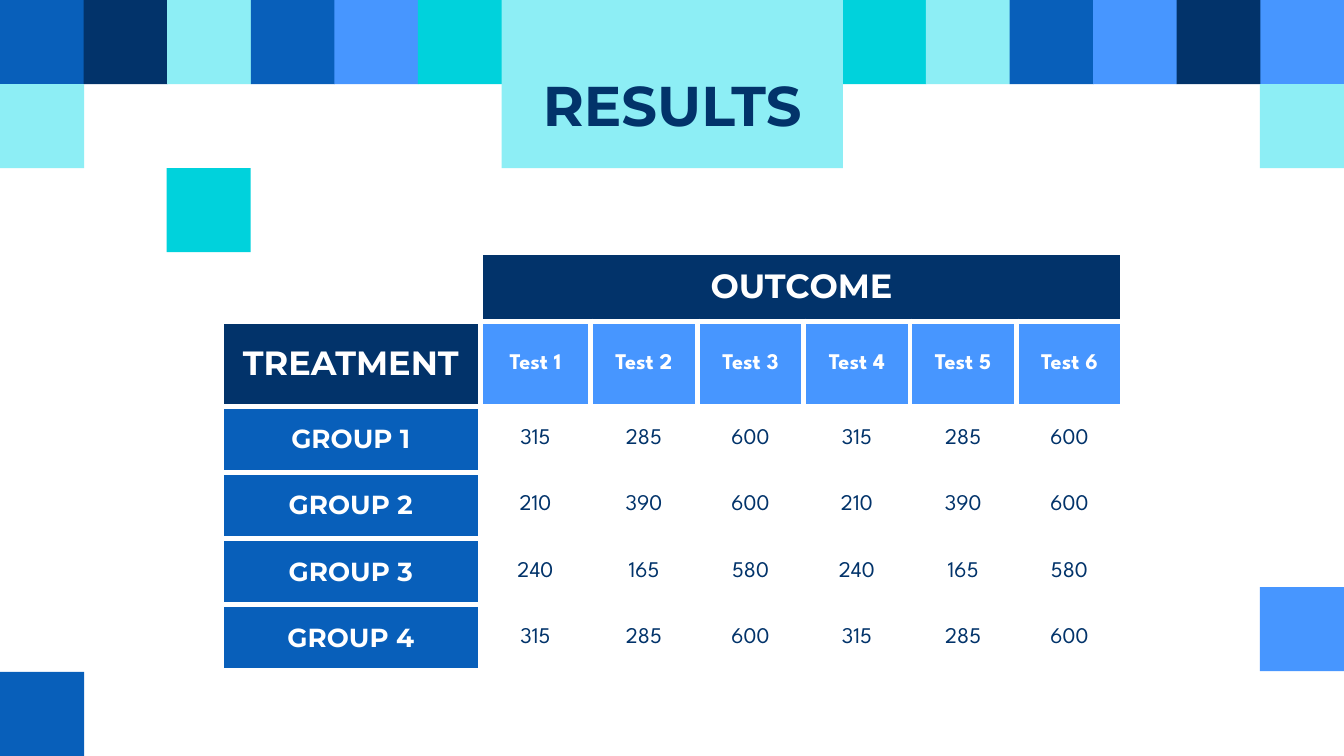
"""Build the results slide: mosaic header, title block and outcome table."""
from dataclasses import dataclass

from lxml.etree import SubElement
from pptx import Presentation
from pptx.dml.color import RGBColor
from pptx.enum.shapes import MSO_SHAPE as Preset
from pptx.enum.text import MSO_ANCHOR as Anchor, PP_ALIGN as Align
from pptx.oxml.ns import qn
from pptx.util import Cm, Pt

COLORS = {
    "navy": "02336A", "blue": "085FBA", "sky": "4796FF",
    "ice": "8DEEF5", "teal": "00D2DC", "white": "FFFFFF",
}
SLIDE_WIDTH, SLIDE_HEIGHT = 25.4, 14.29
TILE, STEP = 1.59, 1.58
RIGHT_EDGE = SLIDE_WIDTH - TILE
RIGHT_START = 15.92
LEFT_ROW = ["blue", "navy", "ice", "blue", "sky", "teal"]
RIGHT_ROW = ["teal", "ice", "blue", "sky", "navy", "sky"]
COLUMNS = [4.9, 2.08, 2.02] + [2.01] * 4
ROWS = [1.3, 1.61] + [1.25] * 4
RESULTS = [(315, 285, 600), (210, 390, 600), (240, 165, 580), (315, 285, 600)]


@dataclass(frozen=True)
class Tile:
    left: float
    top: float
    color: str
    width: float = TILE
    height: float = TILE


@dataclass(frozen=True)
class TextStyle:
    font: str
    size: int
    color: str
    bold: bool = True


@dataclass(frozen=True)
class CellStyle:
    text: TextStyle
    fill: str | None = None


TITLE = TextStyle("Montserrat", 30, "navy")
HEADER = CellStyle(TextStyle("Montserrat", 18, "white"), "navy")
TEST = CellStyle(TextStyle("League Spartan", 12, "white"), "sky")
GROUP = CellStyle(TextStyle("Montserrat", 14, "white"), "blue")
VALUE = CellStyle(TextStyle("League Spartan", 12, "navy", False))


def rgb(name: str) -> RGBColor:
    """Return the named palette colour."""
    return RGBColor.from_string(COLORS[name])


def apply(target, values: dict) -> None:
    """Set every attribute in values on the target."""
    for name, value in values.items():
        setattr(target, name, value)


def write(frame, text: str, style: TextStyle) -> None:
    """Write one centred paragraph in the given style."""
    paragraph = frame.paragraphs[0]
    paragraph.alignment = Align.CENTER
    run = paragraph.add_run()
    run.text = text
    apply(run.font, {"name": style.font, "size": Pt(style.size), "bold": style.bold})
    run.font.color.rgb = rgb(style.color)


def draw_tile(slide, tile: Tile):
    """Draw a plain filled rectangle."""
    lengths = map(Cm, (tile.left, tile.top, tile.width, tile.height))
    shape = slide.shapes.add_shape(Preset.RECTANGLE, *lengths)
    shape.shadow.inherit = False
    shape.fill.solid()
    shape.fill.fore_color.rgb = rgb(tile.color)
    shape.line.fill.background()
    return shape


def draw_title(slide, text: str) -> None:
    """Draw the title on its block between the two tile rows."""
    shape = draw_tile(slide, Tile(9.48, 0, "ice", 6.45, 2 * TILE))
    apply(shape.text_frame, {
        "word_wrap": True, "vertical_anchor": Anchor.MIDDLE,
        "margin_left": Cm(0.25), "margin_right": Cm(0.25),
        "margin_top": Cm(0.76), "margin_bottom": Cm(0),
    })
    write(shape.text_frame, text, TITLE)


def add_borders(cell) -> None:
    """Give the cell white borders on all four sides."""
    properties = cell._tc.get_or_add_tcPr()
    for side in ("a:lnL", "a:lnR", "a:lnT", "a:lnB"):
        line = SubElement(properties, qn(side), w=str(Pt(3)))
        fill = SubElement(line, qn("a:solidFill"))
        SubElement(fill, qn("a:srgbClr"), val=COLORS["white"])


def fill_cell(cell, text: str, style: CellStyle) -> None:
    """Fill a table cell with colour and text."""
    if style.fill:
        cell.fill.solid()
        cell.fill.fore_color.rgb = rgb(style.fill)
    if text:
        write(cell.text_frame, text, style.text)


def draw_table(slide) -> None:
    """Draw the table of test outcomes by treatment group."""
    lengths = map(Cm, (4.18, 4.77, sum(COLUMNS), sum(ROWS)))
    table = slide.shapes.add_table(len(ROWS), len(COLUMNS), *lengths).table
    apply(table, {"first_row": False, "horz_banding": False})
    for column, width in zip(table.columns, COLUMNS):
        column.width = Cm(width)
    for row, height in zip(table.rows, ROWS):
        row.height = Cm(height)
    margins = {f"margin_{side}": Cm(0.25) for side in ("left", "right", "top", "bottom")}
    for cell in table.iter_cells():
        apply(cell, {"vertical_anchor": Anchor.MIDDLE, **margins})
        add_borders(cell)
        cell.fill.background()
    table.cell(0, 1).merge(table.cell(0, 6))
    fill_cell(table.cell(0, 1), "OUTCOME", HEADER)
    fill_cell(table.cell(1, 0), "TREATMENT", HEADER)
    for number in range(1, 7):
        fill_cell(table.cell(1, number), f"Test {number}", TEST)
    for group, values in enumerate(RESULTS, start=1):
        fill_cell(table.cell(group + 1, 0), f"GROUP {group}", GROUP)
        for column, value in enumerate(values * 2, start=1):
            fill_cell(table.cell(group + 1, column), str(value), VALUE)


def main() -> None:
    """Compose and save the slide."""
    presentation = Presentation()
    apply(presentation, {"slide_width": Cm(SLIDE_WIDTH), "slide_height": Cm(SLIDE_HEIGHT)})
    slide = presentation.slides.add_slide(presentation.slide_layouts[6])
    for start, colors in ((0, LEFT_ROW), (RIGHT_START, RIGHT_ROW)):
        for index, color in enumerate(colors):
            draw_tile(slide, Tile(start + index * STEP, 0, color))
    for left in (0, RIGHT_EDGE):
        draw_tile(slide, Tile(left, TILE, "ice"))
    draw_title(slide, "RESULTS")
    draw_table(slide)
    for tile in (
        Tile(RIGHT_EDGE, 11.1, "sky"),
        Tile(0, SLIDE_HEIGHT - TILE, "blue"),
        Tile(3.15, 2 * TILE, "teal"),
    ):
        draw_tile(slide, tile)
    presentation.save("out.pptx")


if __name__ == "__main__":
    main()
